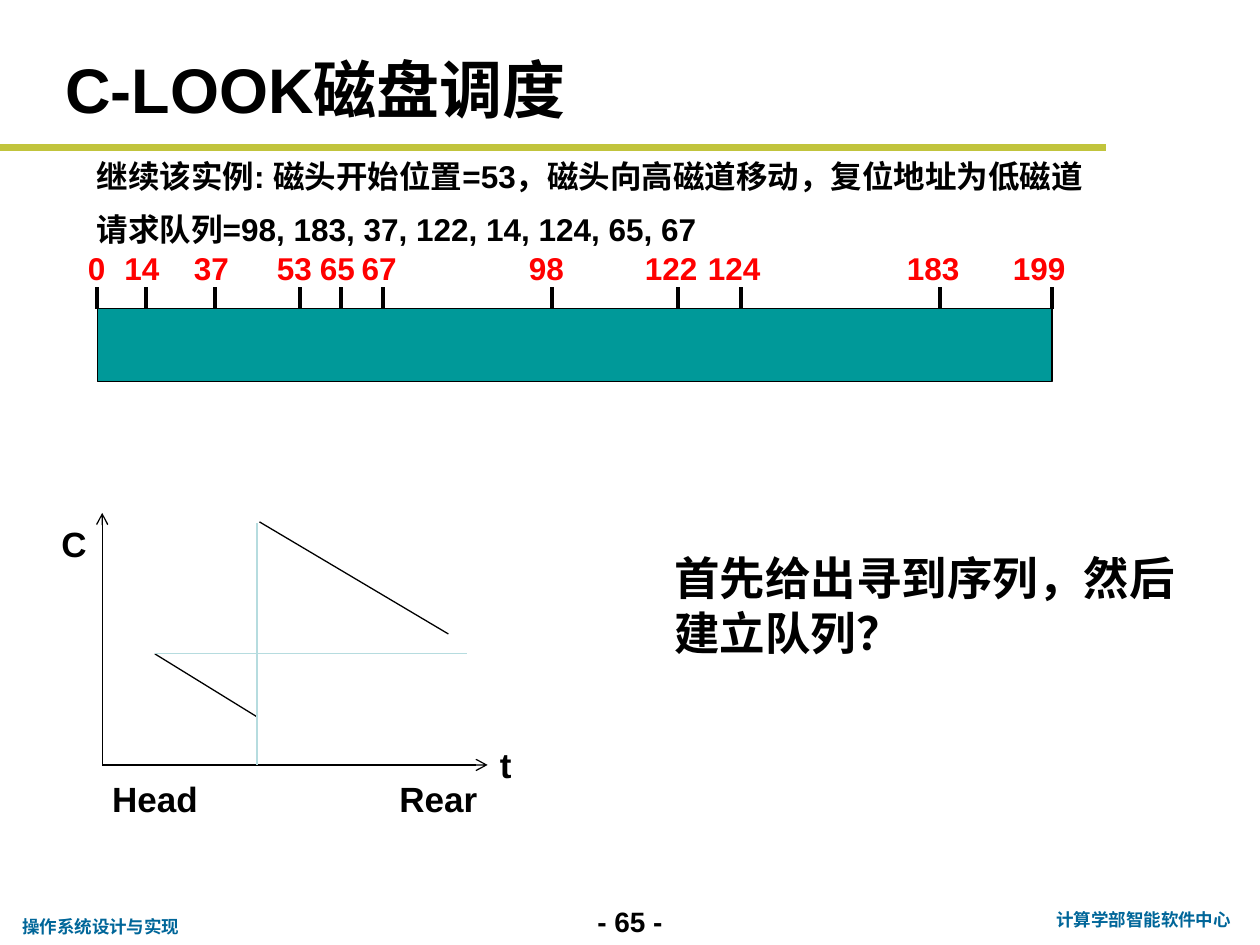
from pptx import Presentation
from pptx.dml.color import RGBColor as RGB
from pptx.enum.shapes import MSO_CONNECTOR as CONN, MSO_SHAPE as SHAPE
from pptx.enum.text import MSO_ANCHOR as ANCHOR, PP_ALIGN as ALIGN
from pptx.oxml.ns import qn
from pptx.util import Cm, Pt
from lxml.etree import SubElement

COLORS = {
    "text": "000000",
    "track": "FF0000",
    "disk": "009999",
    "rule": "C1C43C",
    "guide": "B6DCDF",
    "footer": "006699",
}


class SlideBuilder:
    font = "Arial"

    def __init__(self, slide):
        self.s = slide

    def color(self, name):
        return RGB.from_string(COLORS[name])

    def text(self, x, y, w, h, lines, size, color="text", align=ALIGN.LEFT,
             wrap=True, anchor=ANCHOR.TOP, spacing=None, indent=None):
        sp = self.s.shapes.add_textbox(Cm(x), Cm(y), Cm(w), Cm(h))
        tf = sp.text_frame
        tf.word_wrap = wrap
        tf.vertical_anchor = anchor
        for i, line in enumerate(lines):
            p = tf.paragraphs[0] if i == 0 else tf.add_paragraph()
            p.alignment = align
            if spacing:
                p.line_spacing = spacing
            if indent:
                p.level = 1
                pPr = p._p.get_or_add_pPr()
                pPr.set("marL", str(Cm(indent)))
                pPr.set("indent", "0")
            r = p.add_run()
            r.text = line
            r.font.name = self.font
            r.font.size = Pt(size)
            r.font.bold = True
            r.font.color.rgb = self.color(color)

    def line(self, x1, y1, x2, y2, color="text", width=0.75, arrow=False):
        sp = self.s.shapes.add_connector(CONN.STRAIGHT, Cm(x1), Cm(y1), Cm(x2), Cm(y2))
        sp.line.color.rgb = self.color(color)
        sp.line.width = Pt(width)
        if arrow:
            SubElement(sp.line._get_or_add_ln(), qn("a:tailEnd"), type="arrow")
        SubElement(sp._element.spPr, qn("a:effectLst"))

    def rect(self, x, y, w, h, fill):
        sp = self.s.shapes.add_shape(SHAPE.RECTANGLE, Cm(x), Cm(y), Cm(w), Cm(h))
        sp.shadow.inherit = False
        sp.fill.solid()
        sp.fill.fore_color.rgb = self.color(fill)
        sp.line.color.rgb = self.color("text")
        sp.line.width = Pt(0.75)


def main():
    prs = Presentation()
    prs.slide_width, prs.slide_height = Cm(25.4), Cm(19.05)
    b = SlideBuilder(prs.slides.add_slide(prs.slide_layouts[6]))

    b.text(11.43, 18.11, 2.54, 0.94, ["- 65 -"], 16, align=ALIGN.CENTER)
    b.line(0, 2.97, 22.3, 2.97, "rule", 4)
    b.text(20.96, 18.21, 4.19, 0.69, ["计算学部智能软件中心"], 10, "footer", ALIGN.CENTER)
    b.text(0.2, 18.34, 3.71, 0.69, ["操作系统设计与实现"], 10, "footer", wrap=False)

    b.text(1.07, 0.84, 21.79, 1.88, ["C-LOOK磁盘调度"], 36, anchor=ANCHOR.MIDDLE)
    b.text(0.43, 2.74, 22.66, 3.48, [
        "继续该实例: 磁头开始位置=53，磁头向高磁道移动，复位地址为低磁道",
        "请求队列=98, 183, 37, 122, 14, 124, 65, 67",
    ], 18, spacing=1.4, indent=1.27)

    disk_x, disk_y = 1.96, 6.22
    b.rect(disk_x, disk_y, 19.25, 1.47, "disk")
    tracks = [
        ("0", 1.96, 1.52, 1.47),
        ("14", 2.95, 2.26, 1.47),
        ("37", 4.34, 3.66, 1.47),
        ("53", 6.05, 5.33, 1.47),
        ("65", 6.88, 6.2, 1.47),
        ("67", 7.72, 7.04, 1.47),
        ("98", 11.13, 10.41, 1.47),
        ("122", 13.67, 12.75, 1.7),
        ("124", 14.94, 14.02, 2.11),
        ("183", 18.95, 18.03, 1.7),
        ("199", 21.21, 20.17, 1.85),
    ]
    for track, tick_x, label_x, label_w in tracks:
        b.line(tick_x, disk_y - 0.43, tick_x, disk_y, width=2.25)
        b.text(label_x, 4.9, label_w, 1.02, [track], 18, "track")

    axis_x, axis_y = 2.06, 15.42
    guide_x, guide_y = 5.18, 13.18
    b.line(3.12, guide_y, guide_x, 14.45)
    b.line(5.23, 10.52, 9.04, 12.78)
    b.line(axis_x, axis_y, 9.83, axis_y, arrow=True)
    b.line(axis_x, axis_y, axis_x, 10.34, arrow=True)
    b.line(guide_x, 10.54, guide_x, axis_y, "guide")
    b.line(3.12, guide_y, 9.42, guide_y, "guide")
    for label, x, y, w in [
        ("t", 9.83, 14.86, 0.76),
        ("C", 0.99, 10.41, 1.02),
        ("Head", 2.01, 15.54, 2.26),
        ("Rear", 7.8, 15.54, 2.11),
    ]:
        b.text(x, y, w, 1.12, [label], 20, wrap=False)

    b.text(13.34, 10.97, 10.8, 2.49, ["首先给出寻到序列，然后建立队列？"], 26)
    prs.save("out.pptx")


if __name__ == "__main__":
    main()
